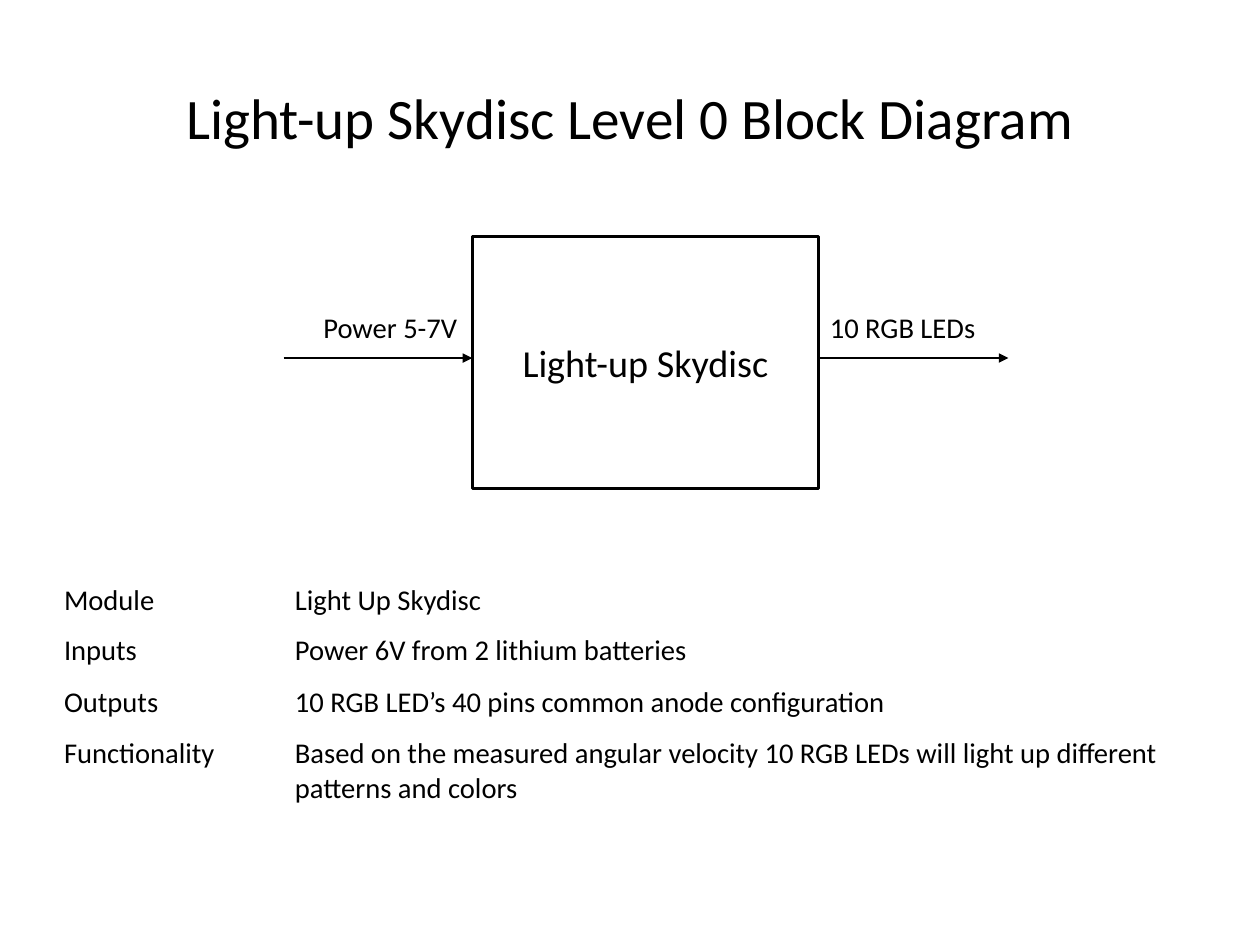
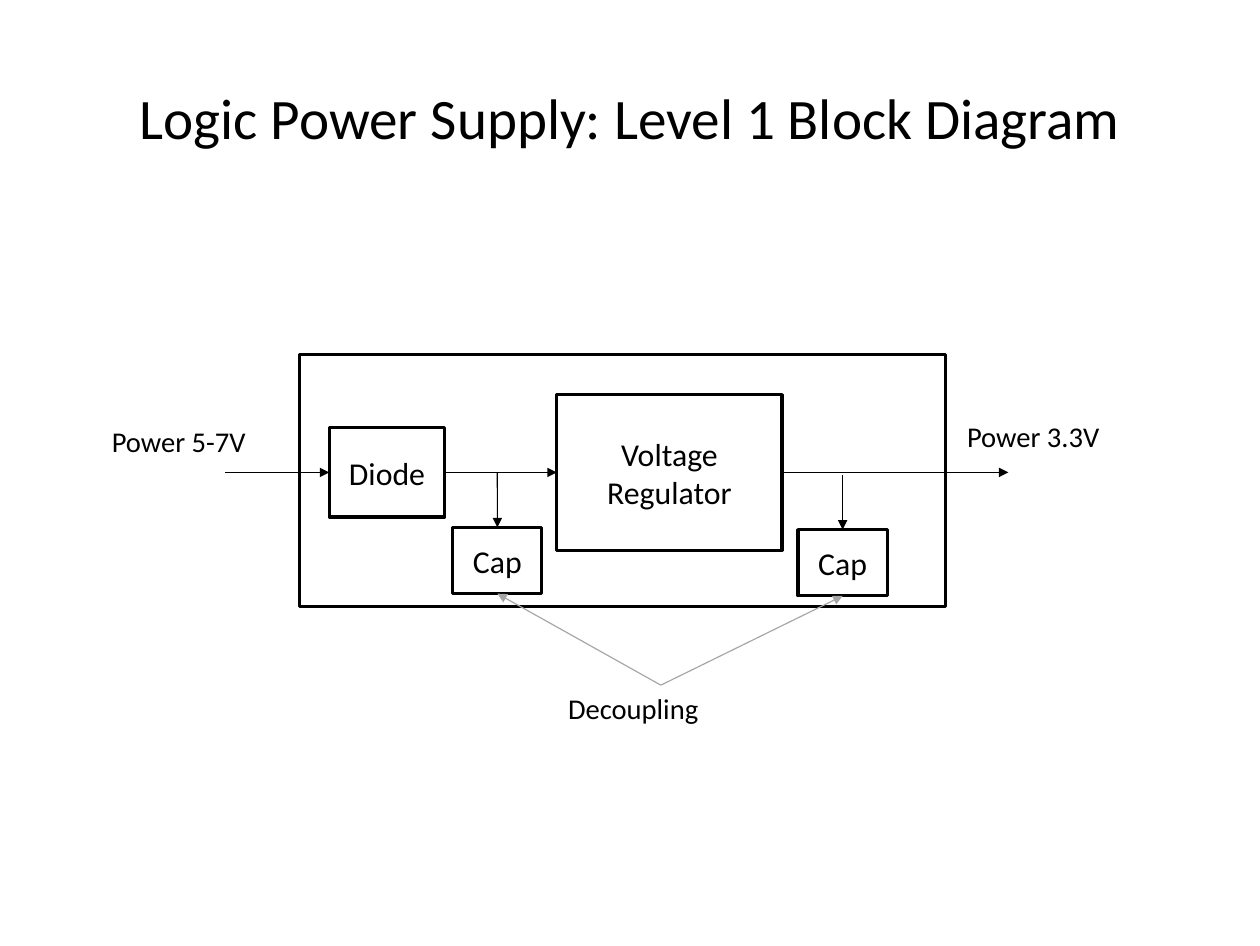
from pptx import Presentation as Deck
from pptx.dml.color import RGBColor as Rgb
from pptx.enum.shapes import MSO_CONNECTOR as Line, MSO_SHAPE as Shape
from pptx.enum.text import MSO_ANCHOR as Anchor, PP_ALIGN as Align
from pptx.oxml.ns import qn
from pptx.util import Inches, Pt
from lxml.etree import SubElement as Sub

HUES = {"ink": "000000", "paper": "FFFFFF", "note": "A6A6A6"}
FONT = "Calibri"
WIDE, HIGH = 11.02, 8.27
TOP, LEFT, LOW, RIGHT = range(4)


def hue(name):
    return Rgb.from_string(HUES[name])


def write(frame, text, size, align=Align.LEFT):
    frame.text = text
    for par in frame.paragraphs:
        par.alignment = align
        par.font.name = FONT
        par.font.size = Pt(size)
        par.font.color.rgb = hue("ink")


def label(slide, text, x, y, w, h=0.4, size=18, align=Align.LEFT, wrap=True):
    frame = slide.shapes.add_textbox(*map(Inches, (x, y, w, h))).text_frame
    frame.word_wrap = wrap
    frame.vertical_anchor = Anchor.MIDDLE if align == Align.CENTER else Anchor.TOP
    write(frame, text, size, align)


def title(deck, text, x):
    slide = deck.slides.add_slide(deck.slide_layouts[6])
    label(slide, text, x, 0.33, WIDE - 2 * x, 1.38, 36, Align.CENTER)
    return slide


def box(slide, x, y, w, h, text="", size=20):
    rect = slide.shapes.add_shape(Shape.RECTANGLE, *map(Inches, (x, y, w, h)))
    rect.shadow.inherit = False
    rect.fill.solid()
    rect.fill.fore_color.rgb = hue("paper")
    rect.line.color.rgb = hue("ink")
    rect.line.width = Pt(2)
    if text:
        frame = rect.text_frame
        frame.word_wrap = True
        frame.vertical_anchor = Anchor.MIDDLE
        write(frame, text, size, Align.CENTER)
    return rect


def arrow(slide, start, end, name="ink"):
    line = slide.shapes.add_connector(Line.STRAIGHT, 0, 0, 0, 0)
    if isinstance(start[0], float):
        line.begin_x, line.begin_y = map(Inches, start)
    else:
        line.begin_connect(*start)
    if isinstance(end[0], float):
        line.end_x, line.end_y = map(Inches, end)
    else:
        line.end_connect(*end)
    line.line.color.rgb = hue(name)
    line.line.width = Pt(0.75)
    Sub(line.line._get_or_add_ln(), qn("a:tailEnd"), type="triangle")
    Sub(line._element.spPr, qn("a:effectLst"))


def table(slide, x, y, cols, highs, rows):
    area = map(Inches, (x, y, sum(cols), sum(highs)))
    grid = slide.shapes.add_table(len(rows), len(cols), *area).table
    grid.first_row = grid.horz_banding = False
    for col, wide in zip(grid.columns, cols):
        col.width = Inches(wide)
    for row, high, texts in zip(grid.rows, highs, rows):
        row.height = Inches(high)
        for cell, text in zip(row.cells, texts):
            cell.fill.background()
            write(cell.text_frame, text, 18)


def level_zero(deck):
    slide = title(deck, "Light-up Skydisc Level 0 Block Diagram", 0.55)
    table(slide, 0.46, 5.05, (2.02, 7.9), (0.44, 0.45, 0.45, 0.76), (
        ("Module", "Light Up Skydisc"),
        ("Inputs", "Power 6V from 2 lithium batteries"),
        ("Outputs", "10 RGB LED’s 40 pins common anode configuration"),
        ("Functionality", "Based on the measured angular velocity 10 RGB LEDs "
                          "will light up different patterns and colors"),
    ))
    box(slide, 4.13, 2.07, 3.03, 2.2, "Light-up Skydisc", 24)
    flow = 3.13
    arrow(slide, (2.48, flow), (4.13, flow))
    arrow(slide, (7.16, flow), (8.82, flow))
    label(slide, "Power 5-7V", 2.73, 2.66, 1.37, wrap=False)
    label(slide, "10 RGB LEDs", 7.16, 2.66, 1.83)


def level_one(deck):
    slide = title(deck, "Logic Power Supply: Level 1 Block Diagram", 0)
    flow = 4.13
    box(slide, 2.62, 3.1, 5.65, 2.2)
    chip = box(slide, 4.87, 3.45, 1.97, 1.36, "Voltage Regulator")
    diode = box(slide, 2.88, 3.74, 1.01, 0.78, "Diode")
    arrow(slide, (1.97, flow), (diode, LEFT))
    arrow(slide, (diode, RIGHT), (chip, LEFT))
    arrow(slide, (chip, RIGHT), (8.82, flow))
    for x, y, tap in ((3.96, 4.61, flow), (6.98, 4.63, flow + 0.02)):
        cap = box(slide, x, y, 0.78, 0.58, "Cap")
        arrow(slide, (x + 0.39, tap), (cap, TOP))
        arrow(slide, (5.78, 5.99), (cap, LOW), "note")
    label(slide, "Power 5-7V", 0.88, 3.66, 1.37, wrap=False)
    label(slide, "Power 3.3V", 8.36, 3.61, 1.83)
    label(slide, "Decoupling", 4.87, 5.99, 1.83)


def main():
    deck = Deck()
    deck.slide_width, deck.slide_height = Inches(WIDE), Inches(HIGH)
    level_zero(deck)
    level_one(deck)
    deck.save("out.pptx")


if __name__ == "__main__":
    main()
